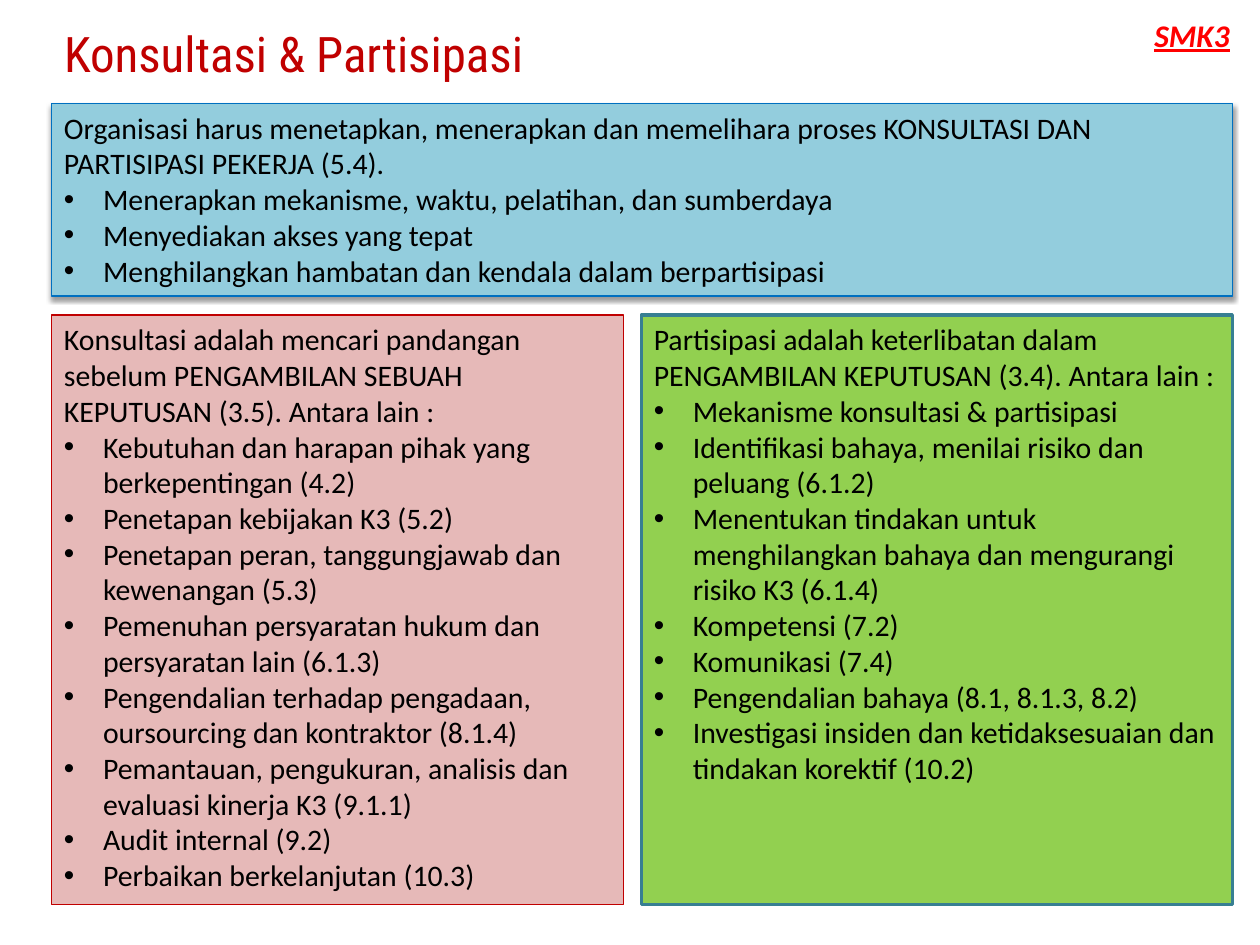
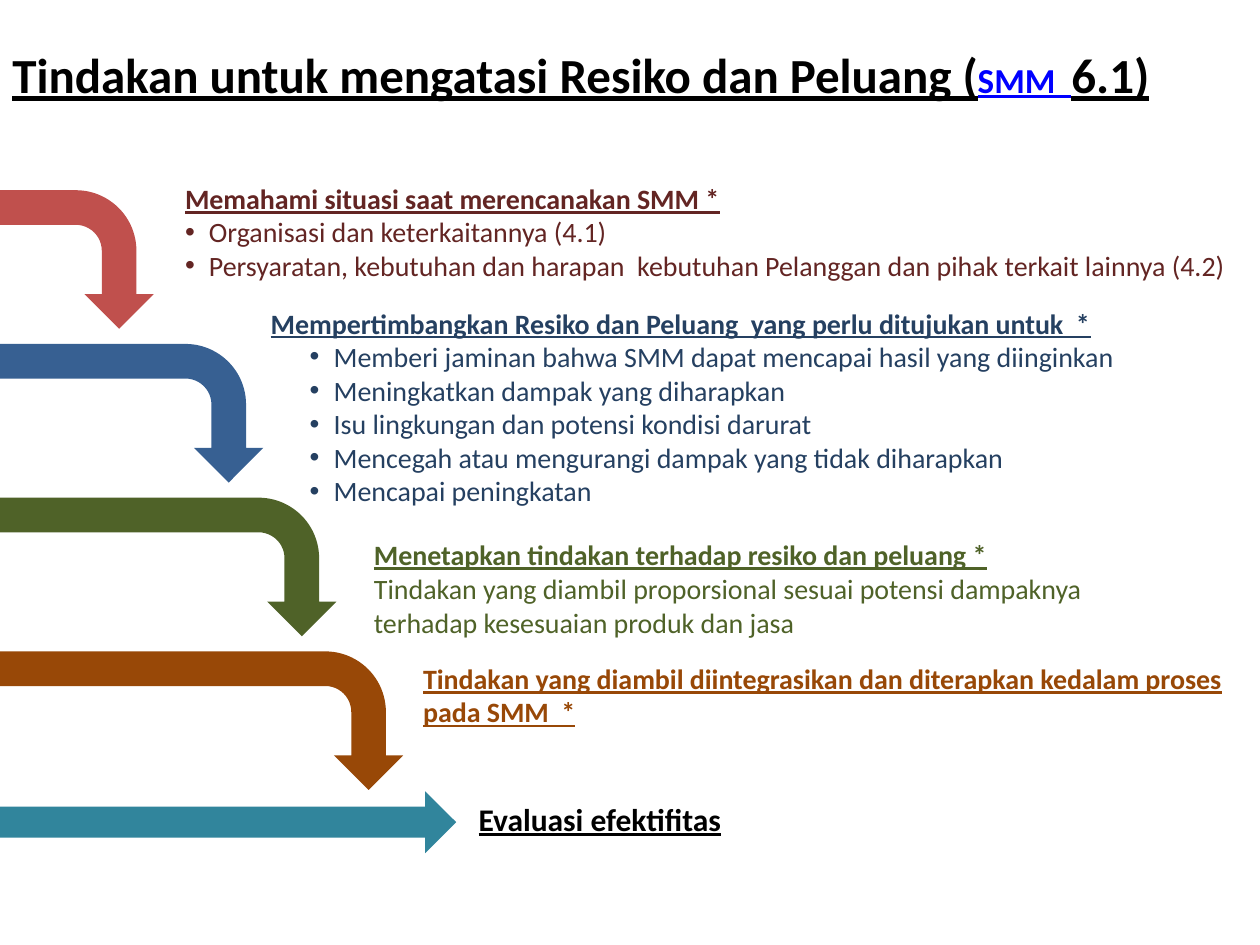
from lxml.etree import SubElement
from pptx import Presentation
from pptx.dml.color import RGBColor
from pptx.enum.shapes import MSO_SHAPE
from pptx.enum.text import MSO_ANCHOR, PP_ALIGN
from pptx.oxml.ns import qn
from pptx.util import Inches, Pt

BLACK = RGBColor(0, 0, 0)
RED = RGBColor(0xFF, 0, 0)
LINK = RGBColor(0, 0, 0xFF)
CRIMSON = RGBColor(0xC0, 0, 0)
PINK = RGBColor(0xE6, 0xB9, 0xB8)
LIME = RGBColor(0x92, 0xD0, 0x50)
SKY = RGBColor(0x93, 0xCD, 0xDD)
BLUE = RGBColor(0, 0x70, 0xC0)
STEEL = RGBColor(0x37, 0x7F, 0x92)
BRICK = RGBColor(0xC0, 0x50, 0x4D)
DENIM = RGBColor(0x37, 0x60, 0x92)
MAROON = RGBColor(0x63, 0x25, 0x23)
NAVY = RGBColor(0x25, 0x40, 0x61)
OLIVE = RGBColor(0x4F, 0x62, 0x28)
RUST = RGBColor(0x98, 0x48, 0x07)
TEAL = RGBColor(0x31, 0x85, 0x9C)

BODY = "Calibri"
HEAD = "Roboto Condensed"


def style(font, size, color, strong=False, name=BODY):
    font.name = name
    font.size = Pt(size)
    font.color.rgb = color
    font.bold = strong
    font.underline = strong


def bullet(para, left, hang):
    props = para._p.get_or_add_pPr()
    props.set("marL", str(Inches(left)))
    props.set("indent", str(-Inches(hang)))
    SubElement(props, qn("a:buFont"), typeface="Arial")
    SubElement(props, qn("a:buChar"), char="•")


def add_para(frame, text):
    first = frame.paragraphs[0]
    para = first if not first.runs else frame.add_paragraph()
    para.alignment = PP_ALIGN.LEFT
    para.add_run().text = text
    return para


def fill_text(frame, lead, items, size, color, strong=False, left=0, hang=0):
    style(add_para(frame, lead).font, size, color, strong)
    for item in items:
        para = add_para(frame, item)
        if hang:
            bullet(para, left, hang)
        style(para.font, size, color)


def add_box(slide, x, y, w, h, wrap=True):
    box = slide.shapes.add_textbox(Inches(x), Inches(y), Inches(w), Inches(h))
    box.text_frame.word_wrap = wrap
    return box.text_frame


def add_solid(slide, kind, x, y, w, h, color):
    shape = slide.shapes.add_shape(kind, Inches(x), Inches(y), Inches(w), Inches(h))
    shape.shadow.inherit = False
    shape.fill.solid()
    shape.fill.fore_color.rgb = color
    shape.line.fill.background()
    return shape


def add_panel(slide, x, y, w, h, color, edge, width, lead, items):
    panel = add_solid(slide, MSO_SHAPE.RECTANGLE, x, y, w, h, color)
    panel.line.color.rgb = edge
    panel.line.width = Pt(width)
    frame = panel.text_frame
    frame.word_wrap = True
    frame.vertical_anchor = MSO_ANCHOR.TOP
    fill_text(frame, lead, items, 17, BLACK, left=0.31, hang=0.31)
    return panel


def add_shade(shape):
    effects = shape._element.spPr.find(qn("a:effectLst"))
    shade = SubElement(effects, qn("a:outerShdw"), blurRad=str(Pt(3.1)),
                       dist=str(Pt(1.6)), dir="5400000", rotWithShape="0")
    tone = SubElement(shade, qn("a:srgbClr"), val="000000")
    SubElement(tone, qn("a:alpha"), val="38000")


def add_bend(slide, y, reach, color):
    depth = 1.1
    shift = (reach - depth) / 2
    arrow = add_solid(slide, MSO_SHAPE.BENT_ARROW, shift, y - shift, depth, reach, color)
    arrow.rotation = 90


def build_consult(slide):
    add_panel(slide, 0.41, 2.5, 4.54, 4.68, PINK, CRIMSON, 0.75,
              "Konsultasi adalah mencari pandangan sebelum PENGAMBILAN SEBUAH "
              "KEPUTUSAN (3.5). Antara lain :",
              ["Kebutuhan dan harapan pihak yang berkepentingan (4.2)",
               "Penetapan kebijakan K3 (5.2)",
               "Penetapan peran, tanggungjawab dan kewenangan (5.3)",
               "Pemenuhan persyaratan hukum dan persyaratan lain (6.1.3)",
               "Pengendalian terhadap pengadaan, oursourcing dan kontraktor (8.1.4)",
               "Pemantauan, pengukuran, analisis dan evaluasi kinerja K3 (9.1.1)",
               "Audit internal (9.2)",
               "Perbaikan berkelanjutan (10.3)"])
    add_panel(slide, 5.09, 2.5, 4.69, 4.68, LIME, STEEL, 2,
              "Partisipasi adalah keterlibatan dalam PENGAMBILAN KEPUTUSAN (3.4). "
              "Antara lain :",
              ["Mekanisme konsultasi & partisipasi",
               "Identifikasi bahaya, menilai risiko dan peluang (6.1.2)",
               "Menentukan tindakan untuk menghilangkan bahaya dan mengurangi "
               "risiko K3 (6.1.4)",
               "Kompetensi (7.2)",
               "Komunikasi (7.4)",
               "Pengendalian bahaya (8.1, 8.1.3, 8.2)",
               "Investigasi insiden dan ketidaksesuaian dan tindakan korektif (10.2)"])
    duty = add_panel(slide, 0.41, 0.82, 9.37, 1.53, SKY, BLUE, 0.75,
                     "Organisasi harus menetapkan, menerapkan dan memelihara proses "
                     "KONSULTASI DAN PARTISIPASI PEKERJA (5.4).",
                     ["Menerapkan mekanisme, waktu, pelatihan, dan sumberdaya",
                      "Menyediakan akses yang tepat",
                      "Menghilangkan hambatan dan kendala dalam berpartisipasi"])
    add_shade(duty)

    title = add_para(add_box(slide, 0.31, 0.14, 4.04, 0.57, False),
                     "Konsultasi & Partisipasi")
    title.alignment = PP_ALIGN.CENTER
    style(title.font, 28, CRIMSON, name=HEAD)

    frame = add_box(slide, 8.92, 0.03, 1.08, 0.49)
    frame.vertical_anchor = MSO_ANCHOR.MIDDLE
    tag = add_para(frame, "SMK3")
    tag.alignment = PP_ALIGN.CENTER
    style(tag.font, 18, RED, True)
    tag.font.italic = True


def build_risk(slide):
    frame = add_box(slide, 0, -0.04, 10, 1.25)
    frame.vertical_anchor = MSO_ANCHOR.MIDDLE
    title = frame.paragraphs[0]
    for text, size, color in [
            ("Tindakan untuk mengatasi Resiko dan Peluang (", 28, BLACK),
            ("SMM  ", 20, LINK),
            ("6.1)", 28, BLACK)]:
        run = title.add_run()
        run.text = text
        style(run.font, size, color, True)

    fill_text(add_box(slide, 1.37, 1.39, 9.08, 0.91),
              "Memahami situasi saat merencanakan SMM *",
              ["Organisasi dan keterkaitannya (4.1)",
               "Persyaratan, kebutuhan dan harapan  kebutuhan Pelanggan dan "
               "pihak terkait lainnya (4.2)"],
              16, MAROON, True, 0.19, 0.19)
    fill_text(add_box(slide, 2.05, 2.38, 7.01, 1.72, False),
              "Mempertimbangkan Resiko dan Peluang  yang perlu ditujukan untuk  *",
              ["Memberi jaminan bahwa SMM dapat mencapai hasil yang diinginkan",
               "Meningkatkan dampak yang diharapkan",
               "Isu lingkungan dan potensi kondisi darurat",
               "Mencegah atau mengurangi dampak yang tidak diharapkan",
               "Mencapai peningkatan"],
              16, NAVY, True, 0.5, 0.19)
    fill_text(add_box(slide, 2.87, 4.22, 6.93, 0.94),
              "Menetapkan tindakan terhadap resiko dan peluang *",
              ["Tindakan yang diambil proporsional sesuai potensi dampaknya",
               "terhadap kesesuaian produk dan jasa"],
              16, OLIVE, True)
    fill_text(add_box(slide, 3.26, 5.2, 6.9, 0.64),
              "Tindakan yang diambil diintegrasikan dan diterapkan kedalam "
              "proses pada SMM  *",
              [], 16, RUST, True)
    fill_text(add_box(slide, 3.7, 6.3, 2.15, 0.4, False),
              "Evaluasi efektifitas", [], 18, BLACK, True)

    bends = [(1.22, BRICK), (2.09, DENIM), (2.67, OLIVE), (3.2, RUST)]
    for step, (reach, color) in enumerate(bends):
        add_bend(slide, 1.51 + 1.22 * step, reach, color)
    add_solid(slide, MSO_SHAPE.RIGHT_ARROW, 0, 6.28, 3.62, 0.49, TEAL)


def main():
    deck = Presentation()
    deck.slide_width = Inches(10)
    deck.slide_height = Inches(7.5)
    for build in (build_consult, build_risk):
        build(deck.slides.add_slide(deck.slide_layouts[6]))
    deck.save("out.pptx")


if __name__ == "__main__":
    main()
